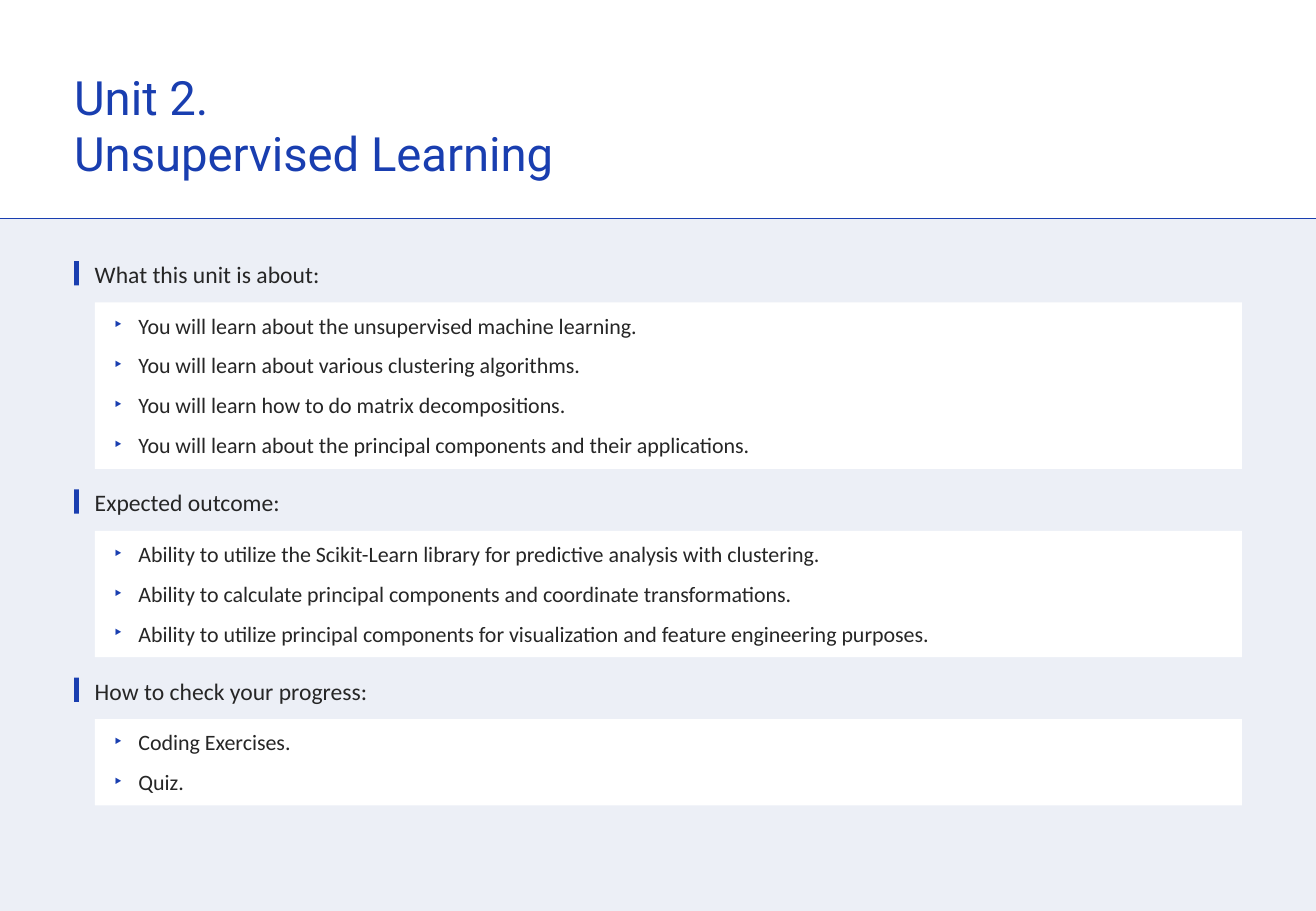
from dataclasses import dataclass

from lxml import etree
from pptx import Presentation
from pptx.dml.color import RGBColor
from pptx.enum.shapes import MSO_CONNECTOR, MSO_SHAPE
from pptx.enum.text import MSO_ANCHOR, MSO_AUTO_SIZE, PP_ALIGN
from pptx.oxml.ns import qn
from pptx.util import Inches, Pt

RECT = MSO_SHAPE.RECTANGLE
LINE = MSO_CONNECTOR.STRAIGHT
TOP = MSO_ANCHOR.TOP
FIXED = MSO_AUTO_SIZE.NONE
LEFT = PP_ALIGN.LEFT

BLUE = "193EB0"
PALE = "ECEFF6"
WHITE = "FFFFFF"
DARK = "262626"

WIDE, HIGH = 10.83, 7.5
RULE_TOP = 1.8
EDGE, INNER, SPAN = 0.61, 0.78, 9.44
FIRST_TOP, LIST_DROP, GAP = 2.15, 0.34, 0.17
ROW, EXTRA = 0.33, 0.05


@dataclass(frozen=True)
class Box:
    left: float
    top: float
    width: float
    height: float

    def place(self) -> tuple:
        return tuple(map(Inches, (self.left, self.top, self.width, self.height)))


@dataclass(frozen=True)
class Style:
    font: str
    size: float
    color: str
    after: float = 0
    pad: tuple[float, float] = (0, 0)
    bullet: bool = False


@dataclass(frozen=True)
class Section:
    head: str
    items: tuple[str, ...]


TITLE = Style("Roboto", 28, BLUE)
HEAD = Style("Calibri", 14, DARK, after=6)
LIST = Style("Calibri", 13, DARK, after=8, pad=(0.16, 0.08), bullet=True)

SECTIONS = (
    Section("What this unit is about:", (
        "You will learn about the unsupervised machine learning.",
        "You will learn about various clustering algorithms.",
        "You will learn how to do matrix decompositions.",
        "You will learn about the principal components and their applications.",
    )),
    Section("Expected outcome:", (
        "Ability to utilize the Scikit-Learn library for predictive analysis with clustering.",
        "Ability to calculate principal components and coordinate transformations.",
        "Ability to utilize principal components for visualization and feature engineering purposes.",
    )),
    Section("How to check your progress:", ("Coding Exercises.", "Quiz.")),
)


def paint(target, color: str) -> None:
    target.solid()
    target.fore_color.rgb = RGBColor.from_string(color)


def move(shape, box: Box) -> None:
    shape.left, shape.top, shape.width, shape.height = box.place()


def add_bar(slide, box: Box, color: str):
    bar = slide.shapes.add_shape(RECT, *box.place())
    bar.shadow.inherit = False
    paint(bar.fill, color)
    bar.line.fill.background()
    return bar


def add_rule(slide) -> None:
    y = Inches(RULE_TOP)
    rule = slide.shapes.add_connector(LINE, 0, y, Inches(WIDE), y)
    paint(rule.line.fill, BLUE)
    rule.line.width = Pt(0.5)
    etree.SubElement(rule._element.spPr, qn("a:effectLst"))


def add_bullet(para) -> None:
    props = para._p.get_or_add_pPr()
    props.set("marL", str(Inches(0.2)))
    props.set("indent", str(-Inches(0.2)))
    tint = etree.SubElement(props, qn("a:buClr"))
    etree.SubElement(tint, qn("a:srgbClr"), val=BLUE)
    etree.SubElement(props, qn("a:buFont"), typeface="Arial")
    etree.SubElement(props, qn("a:buChar"), char="‣")


def write(shape, lines: tuple[str, ...], style: Style) -> None:
    frame = shape.text_frame
    frame.word_wrap = True
    frame.auto_size = FIXED
    frame.vertical_anchor = TOP
    frame.margin_left = frame.margin_right = Inches(style.pad[0])
    frame.margin_top = frame.margin_bottom = Inches(style.pad[1])
    for index, line in enumerate(lines):
        para = frame.add_paragraph() if index else frame.paragraphs[0]
        para.alignment = LEFT
        para.line_spacing = 1.0
        para.space_before = Pt(0)
        para.space_after = Pt(style.after)
        if style.bullet:
            add_bullet(para)
        run = para.add_run()
        run.text = line
        run.font.name = style.font
        run.font.size = Pt(style.size)
        run.font.bold = False
        paint(run.font.fill, style.color)


def add_section(slide, body, part: Section, top: float) -> float:
    add_bar(slide, Box(EDGE, top, 0.04, 0.2), BLUE)
    label = slide.shapes.add_textbox(*Box(INNER, top - 0.01, SPAN, 0.24).place())
    write(label, (part.head,), HEAD)
    height = EXTRA + ROW * len(part.items)
    move(body, Box(INNER, top + LIST_DROP, SPAN, height))
    paint(body.fill, WHITE)
    write(body, part.items, LIST)
    return top + LIST_DROP + height + GAP


def main() -> None:
    deck = Presentation()
    deck.slide_width, deck.slide_height = Inches(WIDE), Inches(HIGH)
    slide = deck.slides.add_slide(deck.slide_layouts[4])
    title, *bodies = slide.placeholders

    panel = add_bar(slide, Box(0, RULE_TOP, WIDE, HIGH - RULE_TOP), PALE)
    title._element.addprevious(panel._element)
    add_rule(slide)

    move(title, Box(EDGE, 0.56, 9.61, 0.94))
    write(title, ("Unit 2.", "Unsupervised Learning"), TITLE)

    top = FIRST_TOP
    for body, part in zip(bodies, SECTIONS):
        top = add_section(slide, body, part, top)
    for spare in bodies[len(SECTIONS):]:
        spare._element.getparent().remove(spare._element)

    deck.save("out.pptx")


if __name__ == "__main__":
    main()
